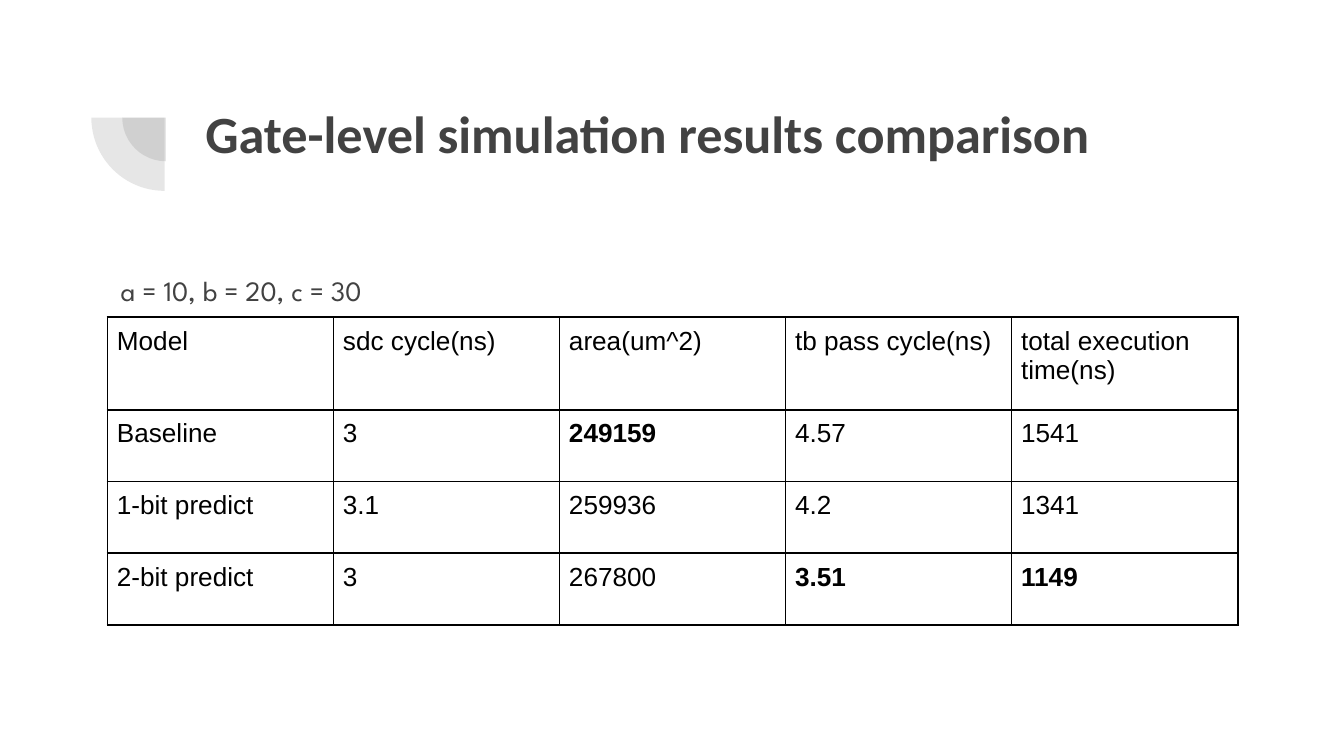
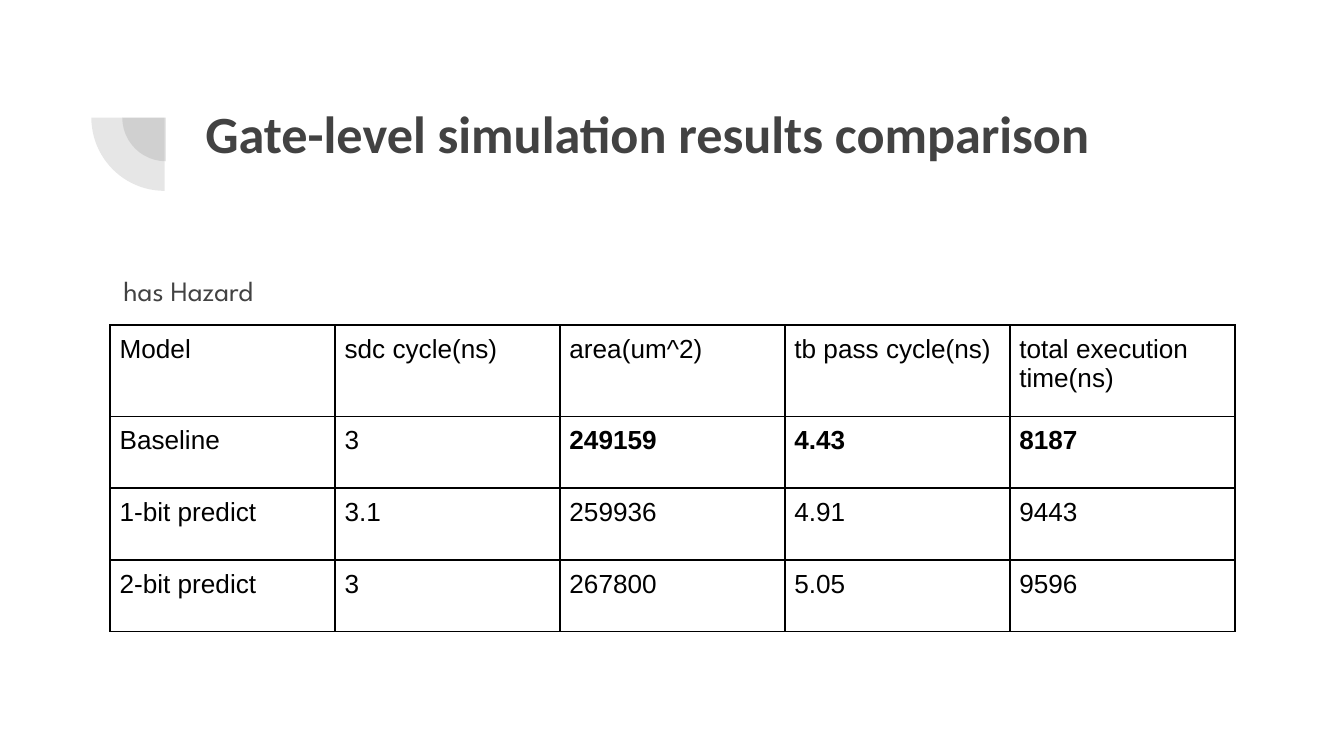
"""Build two slides comparing gate-level simulation results."""
import lxml.etree
import pptx
import pptx.dml.color
import pptx.enum.shapes
import pptx.oxml.ns
import pptx.util

Inches = pptx.util.Inches
GREY = "424242"
BLACK = "000000"
HEADER = ["Model", "sdc cycle(ns)", "area(um^2)", "tb pass cycle(ns)", "total execution time(ns)"]
MODELS = [
    ["Baseline", "3", "249159"],
    ["1-bit predict", "3.1", "259936"],
    ["2-bit predict", "3", "267800"],
]
RESULTS = [
    {
        "caption": "a = 10, b = 20, c = 30", "caption_height": 0.56,
        "left": 0.8, "top": 2.36, "width": 8.41, "height": 2.29, "header": 0.69,
        "timings": [["4.57", "1541"], ["4.2", "1341"], ["3.51", "1149"]],
        "best": ["249159", "3.51", "1149"],
    },
    {
        "caption": "has Hazard", "caption_height": 0.53,
        "left": 0.82, "top": 2.42, "width": 8.37, "height": 2.28, "header": 0.68,
        "timings": [["4.43", "8187"], ["4.91", "9443"], ["5.05", "9596"]],
        "best": ["249159", "4.43", "8187"],
    },
]


def color(value):
    return pptx.dml.color.RGBColor.from_string(value)


def write(holder, frame, text, font, size, ink, bold, margin):
    holder.margin_left = holder.margin_right = Inches(margin)
    holder.margin_top = holder.margin_bottom = Inches(margin)
    frame.word_wrap = True
    para = frame.paragraphs[0]
    span = para.add_run()
    span.text = text
    span.font.name = font
    span.font.size = pptx.util.Pt(size)
    span.font.bold = bold
    span.font.color.rgb = color(ink)
    return para


deck = pptx.Presentation()
deck.slide_width = Inches(10)
deck.slide_height = Inches(10 * 9 / 16)

for result in RESULTS:
    page = deck.slides.add_slide(deck.slide_layouts[6])
    page.background.fill.solid()
    page.background.fill.fore_color.rgb = color("FFFFFF")

    for left, top, size in [(0.91, 0.55, 0.65), (0.68, 0.33, 1.09)]:
        quarter = page.shapes.add_shape(
            pptx.enum.shapes.MSO_SHAPE.PIE, Inches(left), Inches(top), Inches(size), Inches(size))
        quarter.adjustments[0] = 108
        quarter.adjustments[1] = 162
        quarter.rotation = 270
        quarter.shadow.inherit = False
        quarter.line.fill.background()
        quarter.fill.solid()
        quarter.fill.fore_color.rgb = color(GREY)
        tint = quarter.element.spPr.find(".//" + pptx.oxml.ns.qn("a:srgbClr"))
        lxml.etree.SubElement(tint, pptx.oxml.ns.qn("a:alpha"), val="13000")

    title = page.shapes.add_textbox(Inches(1.43), Inches(0.65), Inches(7.69), Inches(1.09))
    write(title.text_frame, title.text_frame, "Gate-level simulation results comparison",
          "Calibri", 28, GREY, True, 0.1)

    caption = page.shapes.add_textbox(
        Inches(result["left"]), Inches(1.9), Inches(7.69), Inches(result["caption_height"]))
    para = write(caption.text_frame, caption.text_frame, result["caption"],
                 "League Spartan", 15, GREY, False, 0.1)
    para.line_spacing = 1.15
    para.space_after = pptx.util.Pt(16)

    rows = [HEADER] + [model + timing for model, timing in zip(MODELS, result["timings"])]
    body_height = (result["height"] - result["header"]) / len(MODELS)
    heights = [result["header"]] + [body_height] * len(MODELS)
    table = page.shapes.add_table(
        len(rows), len(HEADER), Inches(result["left"]), Inches(result["top"]),
        Inches(result["width"]), Inches(result["height"])).table
    table.first_row = False
    table.horz_banding = False
    for row, height, values in zip(table.rows, heights, rows):
        row.height = Inches(height)
        for cell, value in zip(row.cells, values):
            write(cell, cell.text_frame, value, "Arial", 14, BLACK, value in result["best"], 0.07)
            properties = cell._tc.get_or_add_tcPr()
            for side in ["a:lnL", "a:lnR", "a:lnT", "a:lnB"]:
                border = lxml.etree.SubElement(
                    properties, pptx.oxml.ns.qn(side), w=str(pptx.util.Pt(1)))
                paint = lxml.etree.SubElement(border, pptx.oxml.ns.qn("a:solidFill"))
                lxml.etree.SubElement(paint, pptx.oxml.ns.qn("a:srgbClr"), val=BLACK)
            cell.fill.background()

deck.save("out.pptx")
